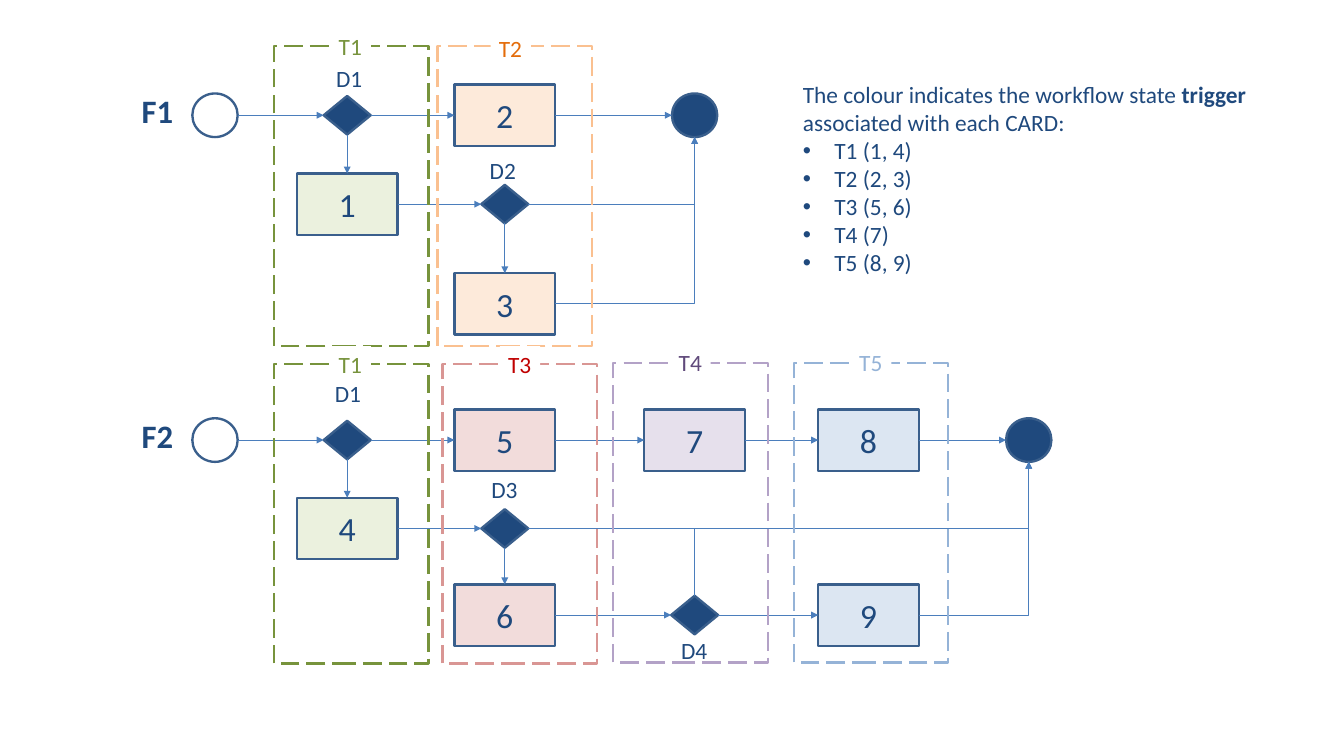
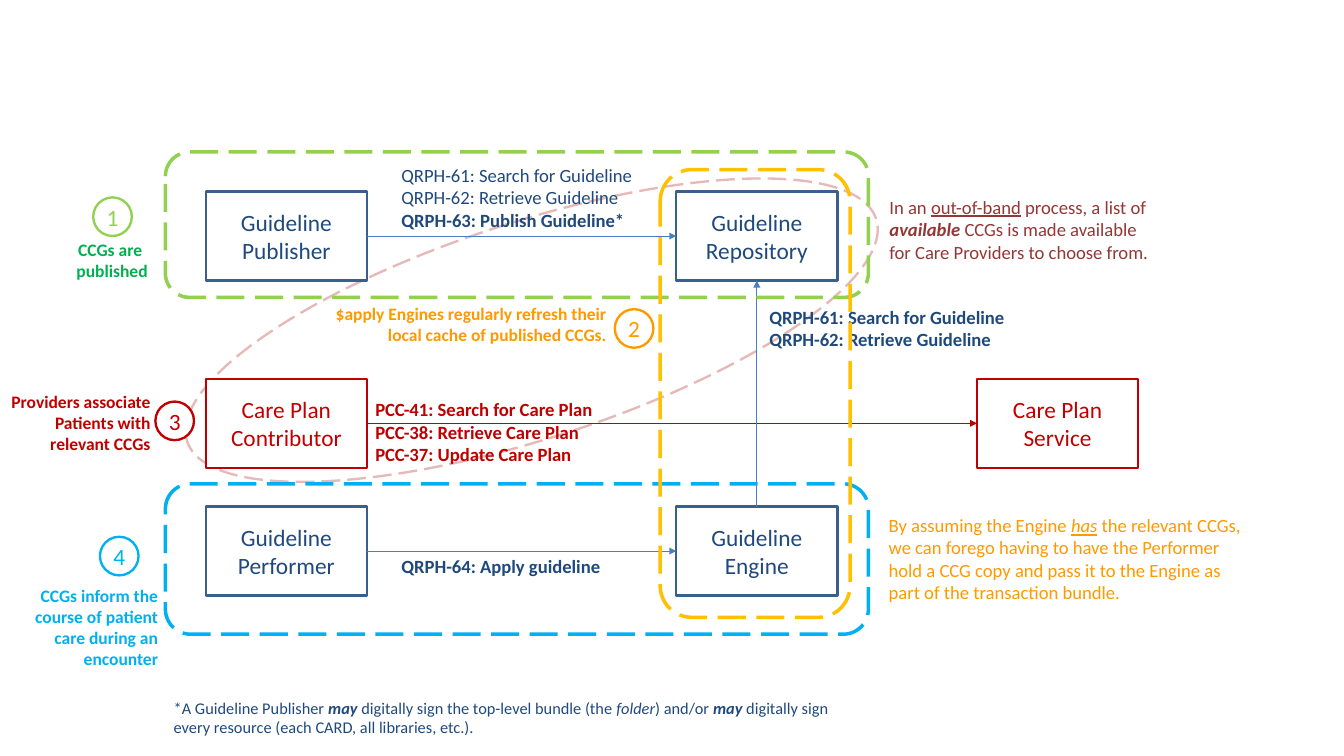
from lxml import etree
from pptx import Presentation
from pptx.dml.color import RGBColor
from pptx.enum.dml import MSO_LINE
from pptx.enum.shapes import MSO_CONNECTOR, MSO_SHAPE
from pptx.enum.text import MSO_ANCHOR, MSO_AUTO_SIZE, PP_ALIGN
from pptx.oxml.ns import qn
from pptx.util import Pt

RECT, ROUND, OVAL = MSO_SHAPE.RECTANGLE, MSO_SHAPE.ROUNDED_RECTANGLE, MSO_SHAPE.OVAL
PROCESS, DECISION = MSO_SHAPE.FLOWCHART_PROCESS, MSO_SHAPE.FLOWCHART_DECISION
STRAIGHT, ELBOW = MSO_CONNECTOR.STRAIGHT, MSO_CONNECTOR.ELBOW
LEFT, CENTER, RIGHT = PP_ALIGN.LEFT, PP_ALIGN.CENTER, PP_ALIGN.RIGHT
LONG_DASH = MSO_LINE.LONG_DASH
TOP_SIDE, LEFT_SIDE, BOTTOM_SIDE, RIGHT_SIDE = range(4)

FONT = "Calibri"
COLORS = {
    "navy": "1F497D", "outline": "3A5F8C", "arrow": "4B7EBC", "white": "FFFFFF",
    "red": "C00000", "maroon": "953735", "amber": "FF9900", "gold": "FFC000",
    "lime": "92D050", "green": "00B050", "sky": "00B0F0", "rose": "E6B9B8",
    "olive": "77933C", "peach": "FAC090", "orange": "E46C0A", "pink": "D99694",
    "lilac": "B3A2C7", "purple": "604A7B", "steel": "95B3D7",
    "pale olive": "EBF1DE", "pale peach": "FDEADA", "pale pink": "F2DCDB",
    "pale lilac": "E6E0EC", "pale steel": "DCE6F2",
}
BOLD, ITALIC, UNDERLINE = {"bold": True}, {"italic": True}, {"underline": True}
BOLD_ITALIC = BOLD | ITALIC

NODE_SIZES = {OVAL: (38.9, 37.4), DECISION: (40.3, 33.1), PROCESS: (86.4, 52.6)}
TRIGGER_SIZE = (132.5, 257)
ACTOR_SIZE = (138.2, 76.3)
BADGE_SIZE = 33.1

# Nodes: name, shape, column, row, fill. Decision labels: offset from the centre.
# Triggers: name, left, top, label offset, frame colour, label colour.
FLOWS = [
    {
        "name": "F1", "left": 114, "top": 24,
        "columns": [70.3, 183.6, 318.7, 481.4], "rows": [74.8, 151, 236.5],
        "nodes": [
            ("start", OVAL, 0, 0, "white"), ("D1", DECISION, 1, 0, "navy"),
            ("1", PROCESS, 1, 1, "pale olive"), ("2", PROCESS, 2, 0, "pale peach"),
            ("D2", DECISION, 2, 1, "navy"), ("3", PROCESS, 2, 2, "pale peach"),
            ("end", OVAL, 3, 0, "navy"),
        ],
        "across": [("start", "D1"), ("D1", "2"), ("2", "end"), ("1", "D2")],
        "down": [("D1", "1"), ("D2", "3")],
        "to_end": ["D2", "3"], "rising": [],
        "labels": {"D1": (2, -47.5), "D2": (-1.4, -44.6)},
        "triggers": [
            ("T1", 120.7, 15.6, (48.5, -15.8), "olive", "olive"),
            ("T2", 261.1, 15.6, (45.4, -13.7), "peach", "orange"),
        ],
    },
    {
        "name": "F2", "left": 114, "top": 295,
        "columns": [70.3, 183.6, 318.7, 481.4, 630.5, 767.8], "rows": [82.2, 158, 232.2],
        "nodes": [
            ("start", OVAL, 0, 0, "white"), ("D1", DECISION, 1, 0, "navy"),
            ("4", PROCESS, 1, 1, "pale olive"), ("5", PROCESS, 2, 0, "pale pink"),
            ("D3", DECISION, 2, 1, "navy"), ("6", PROCESS, 2, 2, "pale pink"),
            ("7", PROCESS, 3, 0, "pale lilac"), ("D4", DECISION, 3, 2, "navy"),
            ("8", PROCESS, 4, 0, "pale steel"), ("9", PROCESS, 4, 2, "pale steel"),
            ("end", OVAL, 5, 0, "navy"),
        ],
        "across": [("start", "D1"), ("D1", "5"), ("5", "7"), ("7", "8"), ("8", "end"),
                   ("4", "D3"), ("6", "D4"), ("D4", "9")],
        "down": [("D1", "4"), ("D3", "6")],
        "to_end": ["D3", "9"], "rising": ["D4"],
        "labels": {"D1": (1, -55.4), "D3": (0, -49), "D4": (0, 14.4)},
        "triggers": [
            ("T1", 120.7, 16.8, (48.5, -15.1), "olive", "olive"),
            ("T3", 265.4, 16.8, (49, -15.1), "pink", "red"),
            ("T4", 411.6, 16, (49, -15.8), "lilac", "purple"),
            ("T5", 566.4, 16, (49, -15.8), "steel", "steel"),
        ],
    },
]

ACTOR_COLUMNS = [0, 403.2, 661]
ACTOR_ROWS = [0, 160.5, 270]
ACTORS = [
    ("Publisher", ["Guideline", "Publisher"], 0, 0, "outline", "navy"),
    ("Repository", ["Guideline", "Repository"], 1, 0, "outline", "navy"),
    ("Performer", ["Guideline", "Performer"], 0, 2, "outline", "navy"),
    ("Engine", ["Guideline", "Engine"], 1, 2, "outline", "navy"),
    ("Contributor", ["Care Plan", "Contributor"], 0, 1, "red", "red"),
    ("Service", ["Care Plan", "Service"], 2, 1, "red", "red"),
]
# Transactions: box relative to the actor grid, lines, colour, base format.
TRANSACTIONS = [
    ((160.6, -27.4, 216.7, 65.5),
     ["QRPH-61: Search for Guideline", "QRPH-62: Retrieve Guideline",
      [("QRPH-63: Publish Guideline*", BOLD)]], "navy", {}),
    ((160.6, 308.1, 191.5, 26.6), ["QRPH-64: Apply guideline"], "navy", BOLD),
    ((138.2, 173.5, 208, 65.5),
     ["PCC-41: Search for Care Plan", "PCC-38: Retrieve Care Plan",
      "PCC-37: Update Care Plan"], "red", BOLD),
    ((475.9, 94.3, 218.9, 46),
     ["QRPH-61: Search for Guideline", "QRPH-62: Retrieve Guideline"], "navy", BOLD),
]
# Phases: badge corner, badge colour, caption box, lines, alignment, caption colour.
PHASES = [
    ("1", (79.9, 169.2), "lime", (58.3, 200.9, 75.6, 43.9),
     ["CCGs are ", "published"], CENTER, "green"),
    ("2", (527, 265), "amber", (277.2, 256.3, 249.8, 43.9),
     ["$apply Engines regularly refresh their local cache of published CCGs."], RIGHT, "amber"),
    ("3", (133.2, 344.2), "red", (0, 331.9, 136.1, 61.9),
     ["Providers associate Patients with relevant CCGs"], RIGHT, "red"),
    ("4", (85.7, 460.1), "sky", (2.9, 498.2, 139.7, 79.9),
     ["CCGs inform the course of patient care during an encounter"], RIGHT, "sky"),
]
PHASE_FRAMES = [
    ((141.8, 130.3, 602.6, 124.6), "lime"),
    ((141.8, 414.7, 602.6, 128.9), "sky"),
    ((565.9, 145.4, 162.7, 383.8), "gold"),
]
REMARKS = [
    ((755.3, 164.2, 241.2, 65.5), 16, "maroon",
     [("In an ", {}), ("out-of-band", UNDERLINE), (" process, a list of ", {}),
      ("available ", BOLD_ITALIC),
      ("CCGs is made available for Care Providers to choose from.", {})]),
    ((754.6, 437, 317.5, 85), 16, "amber",
     [("By assuming the Engine ", {}), ("has", ITALIC | UNDERLINE),
      (" the relevant CCGs, we can forego having to have the Performer hold a CCG copy "
       "and pass it to the Engine as part of the transaction bundle.", {})]),
    ((141.8, 594.7, 607.7, 41), 14, "navy",
     [("*A Guideline Publisher ", {}), ("may", BOLD_ITALIC),
      (" digitally sign the top-level bundle (the ", {}), ("folder", ITALIC),
      (") and/or ", {}), ("may ", BOLD_ITALIC),
      ("digitally sign every resource (each CARD, all libraries, etc.).", {})]),
]


def rgb(name):
    return RGBColor.from_string(COLORS[name])


def points(box):
    return [Pt(value) for value in box]


def write(frame, lines, size, color, align=LEFT, base=None):
    """Fill a text frame; a line is a string or a list of (text, format) spans."""
    for index, line in enumerate(lines):
        para = frame.paragraphs[0] if index == 0 else frame.add_paragraph()
        para.alignment = align
        for text, extra in [(line, {})] if isinstance(line, str) else line:
            span = para.add_run()
            span.text = text
            span.font.color.rgb = rgb(color)
            formats = {"name": FONT, "size": Pt(size)} | (base or {}) | extra
            for attribute, value in formats.items():
                setattr(span.font, attribute, value)


def add_text(page, box, lines, size, color, align=LEFT, base=None, wrap=True):
    frame = page.shapes.add_textbox(*points(box)).text_frame
    frame.word_wrap = wrap
    frame.auto_size = MSO_AUTO_SIZE.SHAPE_TO_FIT_TEXT
    write(frame, lines, size, color, align, base)
    return frame


def add_figure(page, kind, box, line, fill=None, width=2, dash=None):
    shape = page.shapes.add_shape(kind, *points(box))
    shape.shadow.inherit = False
    if fill:
        shape.fill.solid()
        shape.fill.fore_color.rgb = rgb(fill)
    else:
        shape.fill.background()
    shape.line.color.rgb = rgb(line)
    shape.line.width = Pt(width)
    shape.line.dash_style = dash
    return shape


def add_caption(shape, lines, size, color):
    """Write centred text inside a shape."""
    frame = shape.text_frame
    frame.vertical_anchor = MSO_ANCHOR.MIDDLE
    frame.margin_left = frame.margin_right = 0
    write(frame, lines, size, color, CENTER)


def side_point(shape, side):
    middle_x, middle_y = shape.left + shape.width // 2, shape.top + shape.height // 2
    return {
        TOP_SIDE: (middle_x, shape.top), LEFT_SIDE: (shape.left, middle_y),
        BOTTOM_SIDE: (middle_x, shape.top + shape.height),
        RIGHT_SIDE: (shape.left + shape.width, middle_y),
    }[side]


def style_arrow(connector, color="arrow"):
    connector.line.color.rgb = rgb(color)
    connector.line.width = Pt(0.75)
    properties = connector.element.spPr
    etree.SubElement(properties.find(qn("a:ln")), qn("a:tailEnd"), type="triangle")
    etree.SubElement(properties, qn("a:effectLst"))


def add_arrow(page, source, source_side, target, target_side, color="arrow"):
    """Join two shapes; circles number their sites otherwise and stay unglued."""
    connector = page.shapes.add_connector(
        STRAIGHT, *side_point(source, source_side), *side_point(target, target_side))
    if source.auto_shape_type != OVAL:
        connector.begin_connect(source, source_side)
    if target.auto_shape_type != OVAL:
        connector.end_connect(target, target_side)
    style_arrow(connector, color)


def add_corner_arrow(page, source, target):
    """Run right from the source, then up into the target."""
    connector = page.shapes.add_connector(
        ELBOW, *side_point(source, RIGHT_SIDE), *side_point(target, BOTTOM_SIDE))
    connector.element.spPr.find(qn("a:prstGeom")).set("prst", "bentConnector2")
    style_arrow(connector)


def add_rising_arrow(page, source, target):
    """Run up, right and up again: an elbow turned by a quarter."""
    x1, y1 = side_point(source, TOP_SIDE)
    x2, y2 = side_point(target, BOTTOM_SIDE)
    middle_x, middle_y = (x1 + x2) // 2, (y1 + y2) // 2
    half_run, half_rise = (x2 - x1) // 2, (y1 - y2) // 2
    connector = page.shapes.add_connector(
        ELBOW, middle_x + half_rise, middle_y + half_run,
        middle_x - half_rise, middle_y - half_run)
    connector.element.spPr.find(qn("a:xfrm")).set("rot", "5400000")
    style_arrow(connector)


def draw_flow(page, flow):
    left, top, nodes = flow["left"], flow["top"], {}
    for name, kind, column, row, fill in flow["nodes"]:
        width, height = NODE_SIZES[kind]
        center_x, center_y = left + flow["columns"][column], top + flow["rows"][row]
        box = (center_x - width / 2, center_y - height / 2, width, height)
        nodes[name] = add_figure(page, kind, box, "outline", fill)
        if kind == PROCESS:
            add_caption(nodes[name], [name], 29, "navy")
        if name in flow["labels"]:
            dx, dy = flow["labels"][name]
            add_text(page, (center_x + dx - 18.7, center_y + dy, 37.4, 31.7),
                     [name], 20, "navy", wrap=False)
    for source, target in flow["across"]:
        add_arrow(page, nodes[source], RIGHT_SIDE, nodes[target], LEFT_SIDE)
    for source, target in flow["down"]:
        add_arrow(page, nodes[source], BOTTOM_SIDE, nodes[target], TOP_SIDE)
    for source in flow["to_end"]:
        add_corner_arrow(page, nodes[source], nodes["end"])
    for source in flow["rising"]:
        add_rising_arrow(page, nodes[source], nodes["end"])
    add_text(page, (left, top + flow["rows"][0] - 24.6, 41.8, 41),
             [flow["name"]], 28, "navy", CENTER, BOLD, wrap=False)
    for name, dx, dy, (label_dx, label_dy), line, color in flow["triggers"]:
        x, y = left + dx, top + dy
        add_figure(page, RECT, (x, y, *TRIGGER_SIZE), line, dash=LONG_DASH)
        label = page.shapes.add_textbox(*points((x + label_dx, y + label_dy, 34.6, 31.7)))
        label.fill.solid()
        label.fill.fore_color.rgb = rgb("white")
        label.text_frame.word_wrap = False
        write(label.text_frame, [name], 20, color)


def draw_legend(page, box):
    cards = ["T1 (1, 4)", "T2 (2, 3)", "T3 (5, 6)", "T4 (7)", "T5 (8, 9)"]
    intro = [("The colour indicates the workflow state ", {}), ("trigger", BOLD),
             (" associated with each CARD:", {})]
    frame = add_text(page, box, [intro, *cards], 20, "navy")
    for para in frame.paragraphs[1:]:
        properties = para._p.get_or_add_pPr()
        properties.set("marL", str(Pt(27)))
        properties.set("indent", str(-Pt(27)))
        etree.SubElement(properties, qn("a:buFont"), typeface="Arial")
        etree.SubElement(properties, qn("a:buChar"), char="•")


def draw_actors(page, left, top):
    """Draw the grid of actors with the transactions between them."""
    actors = {}
    for name, lines, column, row, line, color in ACTORS:
        box = (left + ACTOR_COLUMNS[column], top + ACTOR_ROWS[row], *ACTOR_SIZE)
        actors[name] = add_figure(page, RECT, box, line, "white")
        add_caption(actors[name], lines, 20, color)
    for source, target, color in [("Publisher", "Repository", "arrow"),
                                  ("Performer", "Engine", "arrow"),
                                  ("Contributor", "Service", "red")]:
        add_arrow(page, actors[source], RIGHT_SIDE, actors[target], LEFT_SIDE, color)
    add_arrow(page, actors["Engine"], TOP_SIDE, actors["Repository"], BOTTOM_SIDE)
    for (dx, dy, width, height), lines, color, base in TRANSACTIONS:
        add_text(page, (left + dx, top + dy, width, height), lines, 16, color,
                 base=base, wrap=False)


def draw_phases(page):
    for box, color in PHASE_FRAMES:
        add_figure(page, ROUND, box, color, width=3, dash=LONG_DASH)
    for number, corner, color, box, lines, align, text_color in PHASES:
        badge = add_figure(page, OVAL, (*corner, BADGE_SIZE, BADGE_SIZE), color, "white")
        add_caption(badge, [number], 20, color)
        add_text(page, box, lines, 15, text_color, align, BOLD, wrap=len(lines) == 1)


def main():
    deck = Presentation()
    deck.slide_width, deck.slide_height = Pt(1152), Pt(648)
    blank = deck.slide_layouts[6]

    workflow = deck.slides.add_slide(blank)
    for flow in FLOWS:
        draw_flow(workflow, flow)
    draw_legend(workflow, (681.1, 65.5, 427.7, 177.1))

    guidelines = deck.slides.add_slide(blank)
    loop = add_figure(guidelines, OVAL, (145.4, 190.1, 620.6, 185.8), "rose", dash=LONG_DASH)
    loop.rotation = 342.1
    draw_actors(guidelines, 176.4, 164.2)
    draw_phases(guidelines)
    for box, size, color, spans in REMARKS:
        add_text(guidelines, box, [spans], size, color)
    deck.save("out.pptx")


if __name__ == "__main__":
    main()
